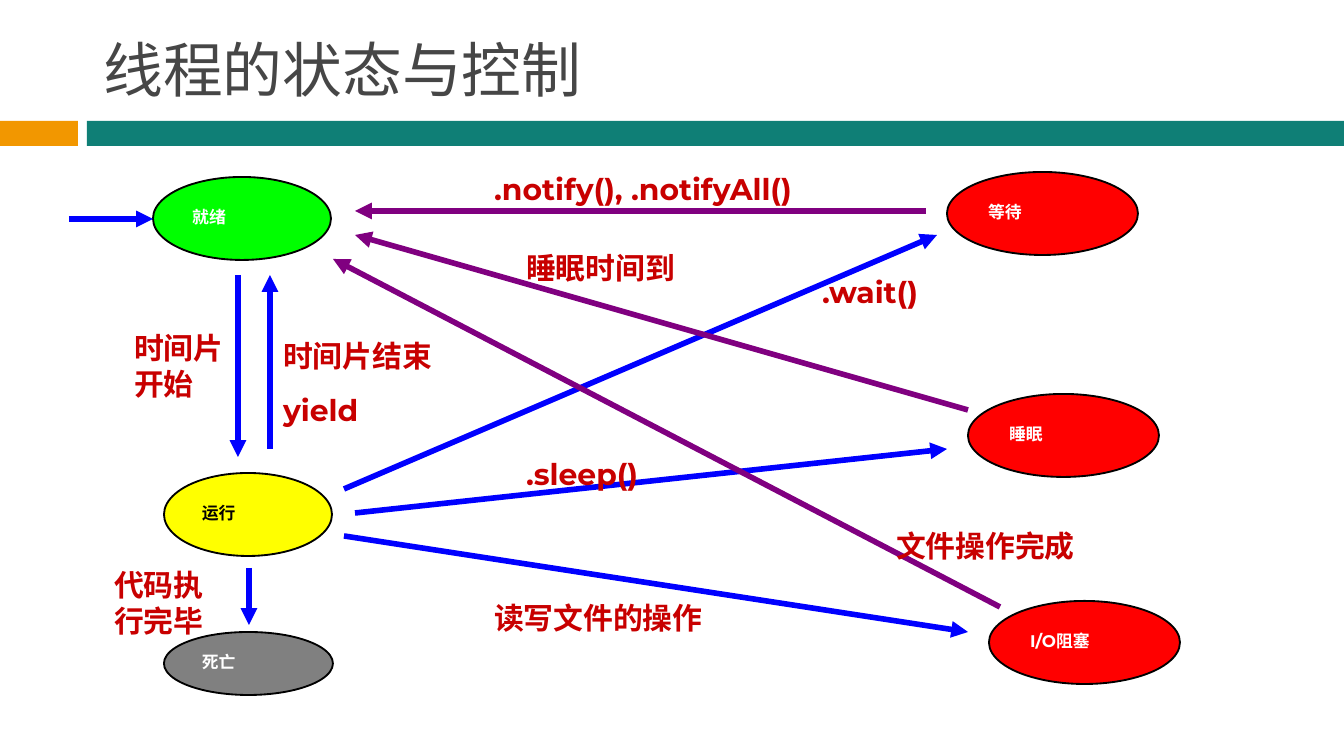
import lxml.etree
import pptx
import pptx.dml.color
import pptx.enum.shapes
import pptx.enum.text
import pptx.oxml.ns
import pptx.util

PX = 914400 / 134.4
SHAPES = pptx.enum.shapes.MSO_SHAPE
ANCHOR = pptx.enum.text.MSO_ANCHOR
FIT = pptx.enum.text.MSO_AUTO_SIZE
LEFT = pptx.enum.text.PP_ALIGN.LEFT
BLUE, PURPLE = "0000FF", "800080"
STATE_WIDTH, STATE_HEIGHT, LABEL_HEIGHT = 191, 83, 50


def px(length):
    return pptx.util.Emu(round(length * PX))


def color(value):
    return pptx.dml.color.RGBColor.from_string(value)


def apply(target, values):
    for name, value in values.items():
        setattr(target, name, value)


def add_xml(parent, tag, **attributes):
    return lxml.etree.SubElement(parent, pptx.oxml.ns.qn(tag), attributes)


class StateDiagram:
    latin, east_asian = "Montserrat", "Noto Sans CJK SC"
    state_font = {"size": pptx.util.Pt(9), "bold": True, "name": latin}
    label_font = {"size": pptx.util.Pt(16), "bold": True, "name": latin}
    title_font = {"size": pptx.util.Pt(32), "bold": False, "name": east_asian}
    state_paragraph = {"alignment": LEFT, "line_spacing": 0.8, "space_before": pptx.util.Pt(2.2)}
    label_paragraph = {"alignment": LEFT, "space_before": pptx.util.Pt(10)}
    title_paragraph = {"alignment": LEFT}
    state_frame = {"word_wrap": False, "vertical_anchor": ANCHOR.MIDDLE}
    label_frame = {"word_wrap": True, "auto_size": FIT.SHAPE_TO_FIT_TEXT}
    title_frame = {"word_wrap": True, "auto_size": FIT.NONE, "vertical_anchor": ANCHOR.BOTTOM}

    def __init__(self, slide):
        self.slide = slide

    def set_text(self, frame, text, ink, frame_format, paragraph_format, font_format):
        apply(frame, frame_format)
        frame.text = text
        for paragraph in frame.paragraphs:
            apply(paragraph, paragraph_format)
            for run in paragraph.runs:
                apply(run.font, font_format)
                run.font.color.rgb = color(ink)
                add_xml(run.font._element, "a:ea", typeface=self.east_asian)

    def title(self, text, left, top, width, height):
        heading = self.slide.shapes.title
        apply(heading, {"left": px(left), "top": px(top), "width": px(width), "height": px(height)})
        self.set_text(heading.text_frame, text, "464646",
                      self.title_frame, self.title_paragraph, self.title_font)

    def filled(self, kind, fill, left, top, width, height):
        shape = self.slide.shapes.add_shape(kind, px(left), px(top), px(width), px(height))
        shape.shadow.inherit = False
        shape.fill.solid()
        shape.fill.fore_color.rgb = color(fill)
        return shape

    def bar(self, fill, left, top, width, height):
        self.filled(SHAPES.RECTANGLE, fill, left, top, width, height).line.fill.background()

    def state(self, text, fill, left, top, width=STATE_WIDTH, height=STATE_HEIGHT, ink="FFFFFF"):
        oval = self.filled(SHAPES.OVAL, fill, left, top, width, height)
        oval.line.color.rgb = color("000000")
        oval.line.width = pptx.util.Pt(1)
        self.set_text(oval.text_frame, text, ink,
                      self.state_frame, self.state_paragraph, self.state_font)
        indent = px(51)
        properties = oval.text_frame.paragraphs[0]._p.get_or_add_pPr()
        properties.set("marL", str(indent))
        properties.set("indent", str(-indent))

    def arrow(self, stroke, *ends):
        transition = self.slide.shapes.add_connector(
            pptx.enum.shapes.MSO_CONNECTOR.STRAIGHT, *map(px, ends))
        transition.line.color.rgb = color(stroke)
        transition.line.width = pptx.util.Pt(3)
        add_xml(transition.get_or_add_ln(), "a:tailEnd", type="triangle")
        add_xml(transition._element.spPr, "a:effectLst")

    def label(self, text, left, top, width, height=LABEL_HEIGHT):
        caption = self.slide.shapes.add_textbox(px(left), px(top), px(width), px(height))
        self.set_text(caption.text_frame, text, "C80000",
                      self.label_frame, self.label_paragraph, self.label_font)


def main():
    deck = pptx.Presentation()
    apply(deck, {"slide_width": px(1344), "slide_height": px(756)})
    diagram = StateDiagram(deck.slides.add_slide(deck.slide_layouts.get_by_name("Title Only")))

    diagram.bar("F29700", 0, 121, 78, 25)
    diagram.bar("0F7F76", 87, 121, 1257, 25)
    diagram.title("线程的状态与控制", 90, 28, 884, 83)

    diagram.state("就绪", "00FF00", 153, 177, width=178)
    diagram.state("运行", "FFFF00", 164, 473, width=168, ink="040000")
    diagram.state("死亡", "808080", 164, 632, width=169, height=63)
    for blocked, left, top in (("I/O阻塞", 989, 601), ("睡眠", 968, 394), ("等待", 947, 172)):
        diagram.state(blocked, "FF0000", left, top)

    for ends in (
        (238, 275, 238, 457),
        (270, 449, 270, 275),
        (249, 568, 249, 625),
        (344, 489, 937, 235),
        (355, 513, 947, 449),
        (344, 536, 968, 632),
        (69, 219, 153, 219),
    ):
        diagram.arrow(BLUE, *ends)
    for ends in ((1000, 607, 333, 259), (968, 410, 355, 235), (926, 211, 355, 211)):
        diagram.arrow(PURPLE, *ends)

    for caption in (
        ("时间片开始", 121, 323, 137, 86),
        ("时间片结束\nyield", 270, 331, 180, 103),
        ("代码执行完毕", 101, 560, 137, 86),
        (".wait()", 809, 267, 137),
        (".notify(), .notifyAll()", 481, 164, 391),
        (".sleep()", 513, 449, 180),
        ("睡眠时间到", 513, 243, 180),
        ("读写文件的操作", 481, 593, 243),
        ("文件操作完成", 883, 521, 222),
    ):
        diagram.label(*caption)

    deck.save("out.pptx")


if __name__ == "__main__":
    main()
